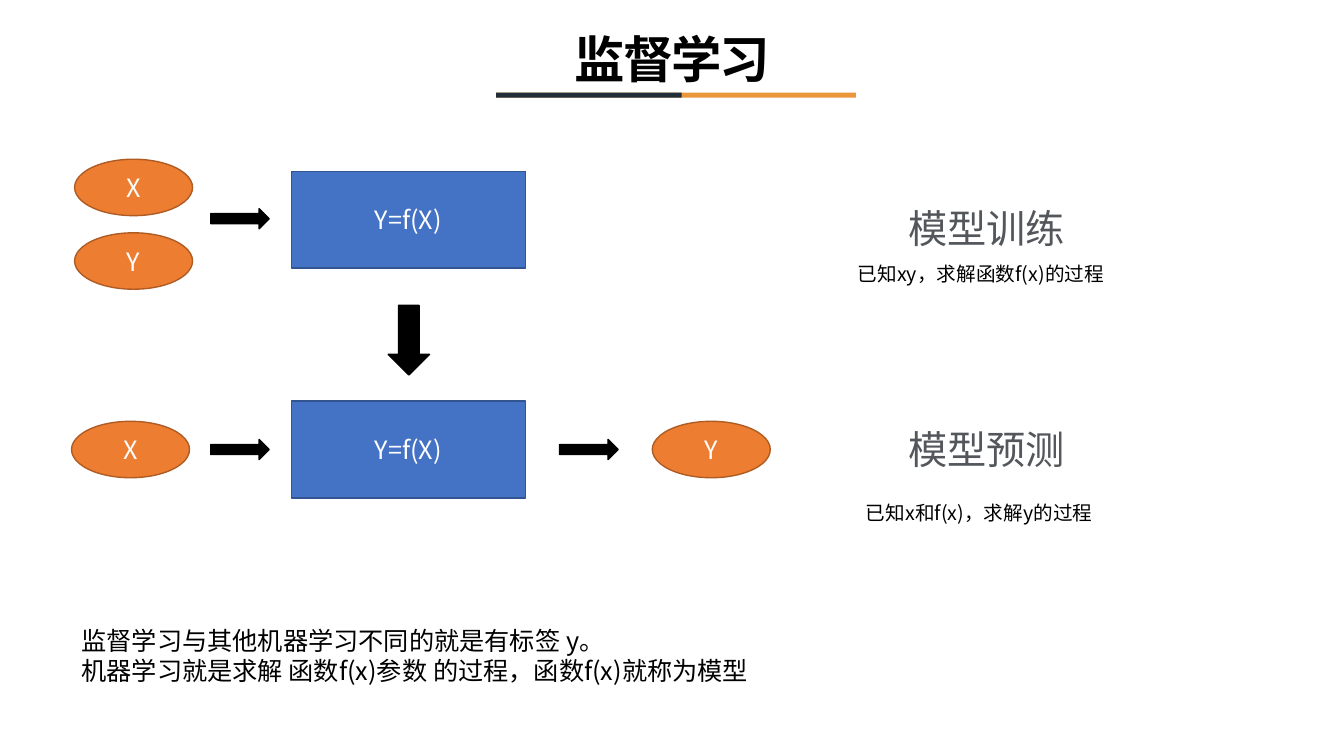
"""Build the supervised learning slide: training row, prediction row and summary."""
from dataclasses import dataclass

import pptx
import pptx.dml.color
import pptx.enum.shapes
import pptx.enum.text
import pptx.oxml.ns
import pptx.slide
import pptx.text.text
import pptx.util
from lxml import etree

EMU_PER_PX = 9144
BODY_FONT = "Noto Sans CJK SC"
COLOURS = {
    "ink": "000000",
    "white": "FFFFFF",
    "amber": "EA973C",
    "navy": "232E3B",
    "model": "4472C4",
    "model_edge": "325491",
    "data": "ED7D31",
    "data_edge": "AF5C24",
    "heading": "53575C",
    "heading_fade": "C5C7CA",
}
PRESETS = pptx.enum.shapes.MSO_SHAPE
ALIGN = pptx.enum.text.PP_ALIGN
ANCHOR = pptx.enum.text.MSO_ANCHOR


@dataclass(frozen=True)
class Block:
    preset: PRESETS
    left: int
    top: int
    width: int
    height: int
    fill: str
    edge: str = ""
    label: str = ""


@dataclass(frozen=True)
class Caption:
    lines: tuple[str, ...]
    left: int
    top: int
    width: int
    height: int
    size: int
    centred: bool = False
    faded: bool = False
    title: bool = False


def model(top: int) -> Block:
    return Block(PRESETS.RECTANGLE, 289, top, 232, 96, "model", "model_edge", "Y=f(X)")


def data(label: str, left: int, top: int) -> Block:
    return Block(PRESETS.OVAL, left, top, 117, 56, "data", "data_edge", label)


def step(left: int, top: int) -> Block:
    return Block(PRESETS.RIGHT_ARROW, left, top, 58, 20, "ink", "ink")


def heading(text: str, top: int) -> Caption:
    return Caption((text,), 824, top, 309, 57, 28, centred=True, faded=True)


def note(text: str, left: int, top: int) -> Caption:
    return Caption((text,), left, top, 405, 34, 14)


BLOCKS = (
    Block(PRESETS.RECTANGLE, 492, 92, 357, 5, "amber"),
    Block(PRESETS.RECTANGLE, 492, 92, 184, 5, "navy"),
    model(170),
    data("X", 74, 158),
    data("Y", 74, 231),
    step(209, 207),
    model(398),
    data("X", 71, 418),
    data("Y", 647, 418),
    step(209, 436),
    step(555, 436),
    Block(PRESETS.DOWN_ARROW, 385, 303, 41, 69, "ink", "ink"),
)
CAPTIONS = (
    Caption(("监督学习",), 92, 30, 1150, 64, 36, centred=True, title=True),
    heading("模型训练", 198),
    note("已知xy，求解函数f(x)的过程", 841, 255),
    heading("模型预测", 417),
    note("已知x和f(x)，求解y的过程", 849, 492),
    Caption(
        (
            "监督学习与其他机器学习不同的就是有标签 y。",
            "机器学习就是求解 函数f(x)参数 的过程，函数f(x)就称为模型",
        ),
        71, 615, 1077, 71, 18,
    ),
)


def px(length: int) -> pptx.util.Emu:
    return pptx.util.Emu(length * EMU_PER_PX)


def rgb(name: str) -> pptx.dml.color.RGBColor:
    return pptx.dml.color.RGBColor.from_string(COLOURS[name])


def set_font(
    paragraph: pptx.text.text._Paragraph, size: int, colour: str, family: str = BODY_FONT
) -> None:
    font = paragraph.font
    font.size = pptx.util.Pt(size)
    font.name = family
    font.fill.solid()
    font.fill.fore_color.rgb = rgb(colour)
    properties = paragraph._p.get_or_add_pPr().get_or_add_defRPr()
    east_asian = etree.SubElement(properties, pptx.oxml.ns.qn("a:ea"))
    east_asian.set("typeface", family)


def fade(paragraph: pptx.text.text._Paragraph) -> None:
    fill = paragraph.font.fill
    fill.gradient()
    fill.gradient_angle = 270
    fades = ((0.21, "heading"), (0.88, "heading_fade"))
    for stop, (position, colour) in zip(fill.gradient_stops, fades):
        stop.position = position
        stop.color.rgb = rgb(colour)


def draw_block(slide: pptx.slide.Slide, block: Block) -> None:
    shape = slide.shapes.add_shape(
        block.preset, px(block.left), px(block.top), px(block.width), px(block.height)
    )
    shape.shadow.inherit = False
    shape.fill.solid()
    shape.fill.fore_color.rgb = rgb(block.fill)
    if block.edge:
        shape.line.color.rgb = rgb(block.edge)
        shape.line.width = pptx.util.Pt(1)
    else:
        shape.line.fill.background()
    if block.label:
        shape.text_frame.vertical_anchor = ANCHOR.MIDDLE
        paragraph = shape.text_frame.paragraphs[0]
        paragraph.text = block.label
        paragraph.alignment = ALIGN.CENTER
        set_font(paragraph, 18, "white")


def draw_caption(slide: pptx.slide.Slide, caption: Caption) -> None:
    frame = slide.shapes.add_textbox(
        px(caption.left), px(caption.top), px(caption.width), px(caption.height)
    ).text_frame
    frame.word_wrap = True
    if caption.title:
        frame.vertical_anchor = ANCHOR.MIDDLE
    else:
        frame.auto_size = pptx.enum.text.MSO_AUTO_SIZE.SHAPE_TO_FIT_TEXT
    for index, line in enumerate(caption.lines):
        paragraph = frame.add_paragraph() if index else frame.paragraphs[0]
        paragraph.text = line
        paragraph.alignment = ALIGN.CENTER if caption.centred else ALIGN.LEFT
        set_font(paragraph, caption.size, "ink", "Open Sans" if caption.title else BODY_FONT)
        if caption.faded:
            fade(paragraph)
        if caption.title:
            paragraph.line_spacing = 0.9
            paragraph.font.bold = True
            paragraph._p.pPr.get_or_add_defRPr().set("spc", "-150")


def main() -> None:
    presentation = pptx.Presentation()
    presentation.slide_width = px(1333)
    presentation.slide_height = px(750)
    slide = presentation.slides.add_slide(presentation.slide_layouts[6])
    for block in BLOCKS:
        draw_block(slide, block)
    for caption in CAPTIONS:
        draw_caption(slide, caption)
    presentation.save("out.pptx")


if __name__ == "__main__":
    main()
